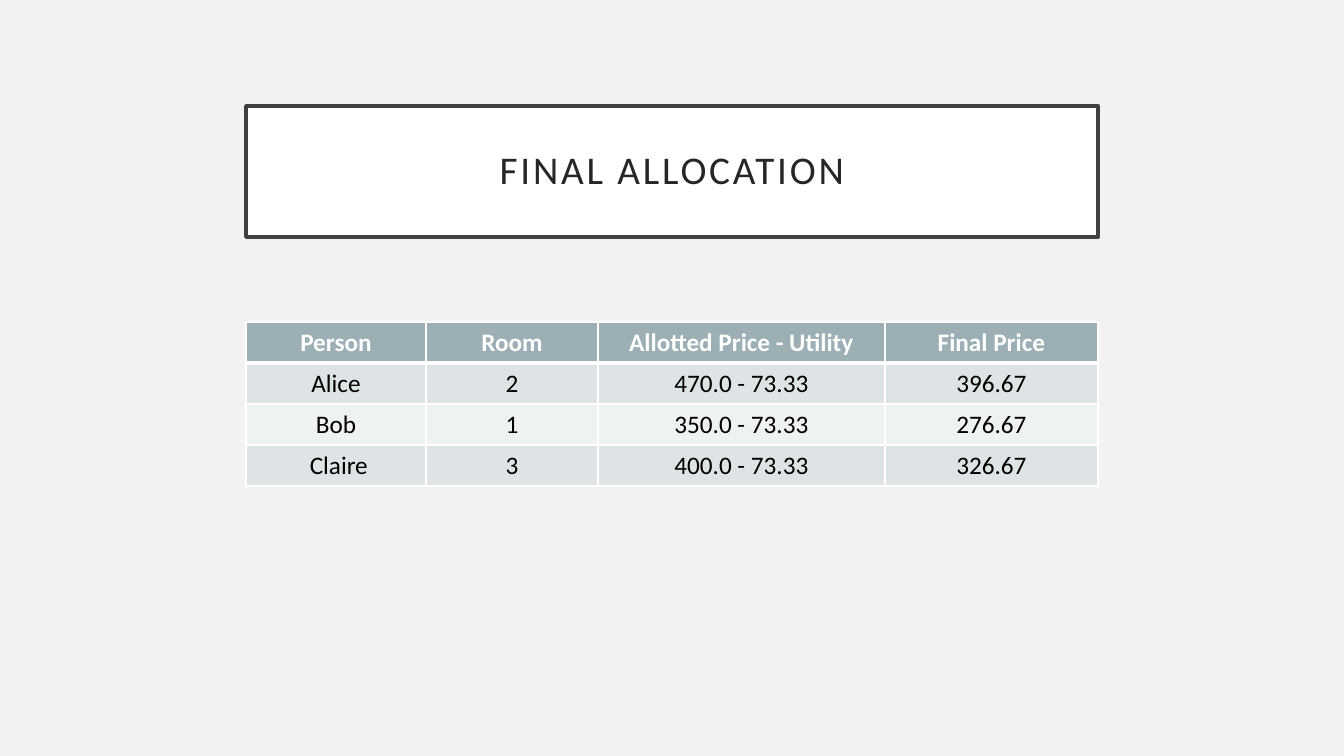
from lxml.etree import SubElement
from pptx import Presentation
from pptx.dml.color import RGBColor
from pptx.enum.text import MSO_ANCHOR, PP_ALIGN
from pptx.oxml.ns import qn
from pptx.util import Emu, Pt

PIXEL = 914400 / 100.8
WHITE = RGBColor(0xFF, 0xFF, 0xFF)
BLACK = RGBColor(0x00, 0x00, 0x00)
BACKGROUND = RGBColor(0xF2, 0xF2, 0xF2)
FRAME = RGBColor(0x40, 0x40, 0x40)
TITLE_TEXT = RGBColor(0x26, 0x26, 0x26)
HEADER_FILL = RGBColor(0x9B, 0xAF, 0xB5)
BAND_FILLS = (RGBColor(0xDE, 0xE3, 0xE5), RGBColor(0xEF, 0xF2, 0xF3))


def px(length):
    """Turn pixels into EMU."""
    return Emu(round(length * PIXEL))


class SlideBuilder:
    """Holds the style and the current slide."""

    font_name = "Calibri"

    def __init__(self, deck):
        """Add a title-only page with a plain background."""
        self.page = deck.slides.add_slide(deck.slide_layouts[5])
        fill = self.page.background.fill
        fill.solid()
        fill.fore_color.rgb = BACKGROUND

    def add_text(self, frame, text, size, color, bold=False):
        """Write one centred run and return its paragraph and run."""
        para = frame.paragraphs[0]
        para.alignment = PP_ALIGN.CENTER
        span = para.add_run()
        span.text = text
        span.font.name = self.font_name
        span.font.size = Pt(size)
        span.font.bold = bold
        span.font.color.rgb = color
        return para, span

    def add_title(self, text, left, top, width, height):
        """Place the framed title."""
        box = self.page.shapes.title
        box.left, box.top, box.width, box.height = map(px, (left, top, width, height))
        box.fill.solid()
        box.fill.fore_color.rgb = WHITE
        box.line.color.rgb = FRAME
        box.line.width = Pt(2.5)
        frame = box.text_frame
        frame.word_wrap = True
        frame.vertical_anchor = MSO_ANCHOR.MIDDLE
        frame.margin_left = frame.margin_right = px(20)
        frame.margin_top = frame.margin_bottom = px(20)
        para, span = self.add_text(frame, text, 28, TITLE_TEXT)
        para.line_spacing = 0.9
        span.font._element.set("spc", "200")

    def add_borders(self, cell, **widths):
        """Draw white cell borders, with widths in points by side."""
        properties = cell._tc.get_or_add_tcPr()
        for side in "LRTB":
            line = SubElement(properties, qn(f"a:ln{side}"), w=str(Pt(widths.get(side, 1))))
            color = SubElement(SubElement(line, qn("a:solidFill")), qn("a:srgbClr"))
            color.set("val", str(WHITE))

    def add_table(self, rows, left, top, column_widths, row_height):
        """Place a banded table whose first row is the header."""
        size = map(px, (left, top, sum(column_widths), row_height * len(rows)))
        table = self.page.shapes.add_table(len(rows), len(column_widths), *size).table
        for column, width in zip(table.columns, column_widths):
            column.width = px(width)
        for row_index, values in enumerate(rows):
            header = row_index == 0
            table.rows[row_index].height = px(row_height)
            for column_index, value in enumerate(values):
                cell = table.cell(row_index, column_index)
                self.add_borders(cell, T=3 if row_index == 1 else 1, B=3 if header else 1)
                cell.fill.solid()
                cell.fill.fore_color.rgb = HEADER_FILL if header else BAND_FILLS[(row_index - 1) % 2]
                self.add_text(cell.text_frame, value, 18, WHITE if header else BLACK, header)


deck = Presentation()
deck.slide_width, deck.slide_height = px(1344), px(756)
builder = SlideBuilder(deck)
builder.add_title("FINAL ALLOCATION", 246, 106, 852, 131)
ALLOCATION = [
    ("Person", "Room", "Allotted Price - Utility", "Final Price"),
    ("Alice", "2", "470.0 - 73.33", "396.67"),
    ("Bob", "1", "350.0 - 73.33", "276.67"),
    (" Claire", "3", "400.0 - 73.33", "326.67"),
]
builder.add_table(ALLOCATION, 246, 322, (180, 172, 287, 213), 41)
deck.save("out.pptx")
